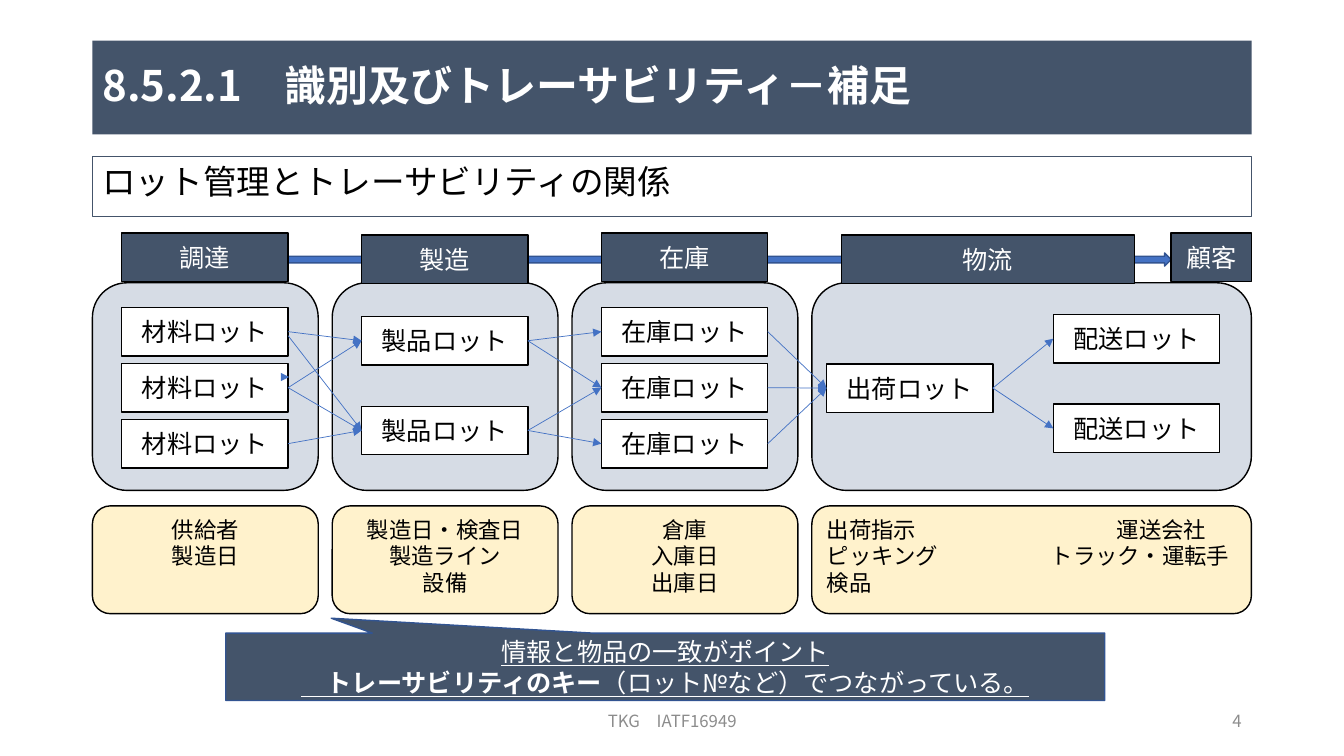
import pptx
import pptx.util
import pptx.dml.color
import pptx.enum.shapes
import pptx.enum.text
import pptx.oxml
import pptx.oxml.ns

SHAPE = pptx.enum.shapes.MSO_SHAPE
ALIGN = pptx.enum.text.PP_ALIGN
ANCHOR = pptx.enum.text.MSO_ANCHOR
NAVY, BLUE, EDGE = "44546A", "4472C4", "325491"
BLACK, WHITE, GREY = "000000", "FFFFFF", "8C8C8C"
PANEL, CREAM = "D6DCE5", "FFF2CC"
LEFT, RIGHT = 1, 3


def rgb(value):
    return pptx.dml.color.RGBColor.from_string(value)


def add_xml(parent, tag, **attrs):
    element = pptx.oxml.parse_xml(f"<a:{tag} {pptx.oxml.ns.nsdecls('a')}/>")
    for name, value in attrs.items():
        element.set(name, str(value))
    parent.append(element)
    return element


class Sheet:
    """Slide with a grid of 96 columns and 54 rows."""

    font = "Noto Sans CJK JP"
    columns, rows = 96, 54

    def __init__(self, prs):
        self.slide = prs.slides.add_slide(prs.slide_layouts[6])
        self.cell_w = prs.slide_width / self.columns
        self.cell_h = prs.slide_height / self.rows

    def col(self, n):
        return round(n * self.cell_w)

    def row(self, n):
        return round(n * self.cell_h)

    def area(self, x, y, w, h):
        return self.col(x), self.row(y), self.col(w), self.row(h)

    def shape(self, kind, x, y, w, h, fill=None, line=BLACK):
        s = self.slide.shapes.add_shape(kind, *self.area(x, y, w, h))
        s.shadow.inherit = False
        if fill:
            s.fill.solid()
            s.fill.fore_color.rgb = rgb(fill)
        else:
            s.fill.background()
        if line:
            s.line.color.rgb = rgb(line)
            s.line.width = pptx.util.Pt(1)
        else:
            s.line.fill.background()
        return s

    def label(self, text, x, y, w, h, align):
        s = self.slide.shapes.add_textbox(*self.area(x, y, w, h))
        return self.put_text(s, [text], 12, GREY, align)

    def put_text(self, s, lines, size, color, align=ALIGN.CENTER, anchor=ANCHOR.MIDDLE,
                 bold=False, underline=False, spacing=None, tabs=()):
        """Each line is a string or a list of (text, bold) runs."""
        tf = s.text_frame
        tf.word_wrap = True
        tf.vertical_anchor = anchor
        for i, line in enumerate(lines):
            p = tf.add_paragraph() if i else tf.paragraphs[0]
            p.alignment = align
            if spacing:
                p.line_spacing = spacing
            if i < len(tabs):
                tab_list = add_xml(p._p.get_or_add_pPr(), "tabLst")
                add_xml(tab_list, "tab", pos=self.col(tabs[i]), algn="l")
            for text, strong in [(line, bold)] if isinstance(line, str) else line:
                r = p.add_run()
                r.text = text
                r.font.size = pptx.util.Pt(size)
                r.font.bold = strong
                r.font.underline = underline
                r.font.color.rgb = rgb(color)
                r.font.name = self.font
                add_xml(r._r.get_or_add_rPr(), "ea", typeface=self.font)
        return s

    def box(self, text, x, y, w, fill=WHITE, color=BLACK):
        s = self.shape(SHAPE.RECTANGLE, x, y, w, 3.46, fill)
        return self.put_text(s, [text], 18, color)

    def arrow(self, begin, end):
        """Each end is a (shape, side) pair or a (column, row) point."""
        glued = [not isinstance(e[0], (int, float)) for e in (begin, end)]
        points = [(0, 0) if g else (self.col(e[0]), self.row(e[1]))
                  for e, g in zip((begin, end), glued)]
        c = self.slide.shapes.add_connector(
            pptx.enum.shapes.MSO_CONNECTOR.STRAIGHT, *points[0], *points[1])
        if glued[0]:
            c.begin_connect(*begin)
        if glued[1]:
            c.end_connect(*end)
        c.line.color.rgb = rgb(BLUE)
        c.line.width = pptx.util.Pt(0.5)
        outline = c._element.spPr.find(pptx.oxml.ns.qn("a:ln"))
        add_xml(outline, "tailEnd", type="triangle")
        add_xml(c._element.spPr, "effectLst")


def main():
    prs = pptx.Presentation()
    prs.slide_width = pptx.util.Inches(13.33)
    prs.slide_height = pptx.util.Inches(7.5)
    sheet = Sheet(prs)
    margin, full, pitch = 6.6, 82.8, 17.13
    stage_x = [margin + pitch * i for i in range(4)]
    stage_w = [16.13] * 3 + [31.4]
    inset, box_w = 2.1, 11.88

    # Flow arrow behind the stage headers
    sheet.shape(SHAPE.RIGHT_ARROW, 19.58, 18.07, 64.08, 0.94, BLUE, EDGE)

    # Title and subtitle
    s = sheet.shape(SHAPE.RECTANGLE, margin, 2.9, full, 6.7, NAVY, None)
    sheet.put_text(s, ["8.5.2.1　識別及びトレーサビリティ－補足"], 30, WHITE,
                   ALIGN.LEFT, bold=True, spacing=0.9)
    s = sheet.shape(SHAPE.RECTANGLE, margin, 11.16, full, 4.32, None, NAVY)
    sheet.put_text(s, ["ロット管理とトレーサビリティの関係"], 24, BLACK,
                   ALIGN.LEFT, ANCHOR.TOP)

    # Stage panels
    for x, w in zip(stage_x, stage_w):
        sheet.shape(SHAPE.ROUNDED_RECTANGLE, x, 20.2, w, 14.83, PANEL)

    # Lots: name, left, tops
    three_rows = [21.96 + 4 * i for i in range(3)]
    lots = [
        [sheet.box(name, x, y, box_w) for y in tops]
        for name, x, tops in (
            ("材料ロット", stage_x[0] + inset, three_rows),
            ("製品ロット", stage_x[1] + inset, (22.61, 29.02)),
            ("在庫ロット", stage_x[2] + inset, three_rows),
            ("出荷ロット", 59.04, (25.99,)),
            ("配送ロット", 75.24, (22.46, 28.87)),
        )
    ]

    # Stage headers
    headers = zip(("調達", "製造", "在庫", "物流"), stage_x,
                  (box_w, box_w, box_w, 20.95), (16.63, 16.78, 16.63, 16.78))
    for name, x, w, y in headers:
        sheet.box(name, x + inset, y, w, NAVY, WHITE)
    sheet.box("顧客", 83.64, 16.63, 5.76, NAVY, WHITE)

    # Links from each lot to lots of the next step
    links = (
        ((0, 0), (1, 0), (1, 1), (2, 1)),
        ((0, 0), (0, 1), (1, 2), (1, 1)),
        ((0, 0), (1, 0), (2, 0)),
        ((0, 0), (0, 1)),
    )
    for step, pairs in enumerate(links):
        for a, b in pairs:
            sheet.arrow((lots[step][a], RIGHT), (lots[step + 1][b], LEFT))
    sheet.arrow((20.58, 23.98), (lots[1][1], LEFT))
    sheet.arrow((20.58, 26.93), (20.65, 26.93))

    # Information kept at each stage
    records = (
        ["供給者", "製造日"],
        ["製造日・検査日", "製造ライン", "設備"],
        ["倉庫", "入庫日", "出庫日"],
        ["出荷指示\t運送会社", "ピッキング\tトラック・運転手", "検品"],
    )
    for x, w, lines in zip(stage_x, stage_w, records):
        s = sheet.shape(SHAPE.ROUNDED_RECTANGLE, x, 36.14, w, 7.7, CREAM)
        tabbed = "\t" in lines[0]
        sheet.put_text(s, lines, 16, BLACK, ALIGN.LEFT if tabbed else ALIGN.CENTER,
                       ANCHOR.TOP, spacing=pptx.util.Pt(19),
                       tabs=(20.7, 16) if tabbed else ())

    # Key message
    s = sheet.shape(SHAPE.RECTANGULAR_CALLOUT, 16.13, 45.22, 62.78, 4.82, NAVY, EDGE)
    s.adjustments[0], s.adjustments[1] = -0.38, -0.72
    sheet.put_text(s, ["情報と物品の一致がポイント",
                       [("　", False), ("トレーサビリティのキー", True),
                        ("（ロット№など）でつながっている。", False)]],
                   18, WHITE, underline=True, spacing=pptx.util.Pt(22))

    # Footer
    sheet.label("TKG　IATF16949", 31.82, 50.04, 32.4, 2.88, ALIGN.CENTER)
    sheet.label("4", 67.8, 50.04, 21.6, 2.88, ALIGN.RIGHT)

    prs.save("out.pptx")


if __name__ == "__main__":
    main()
